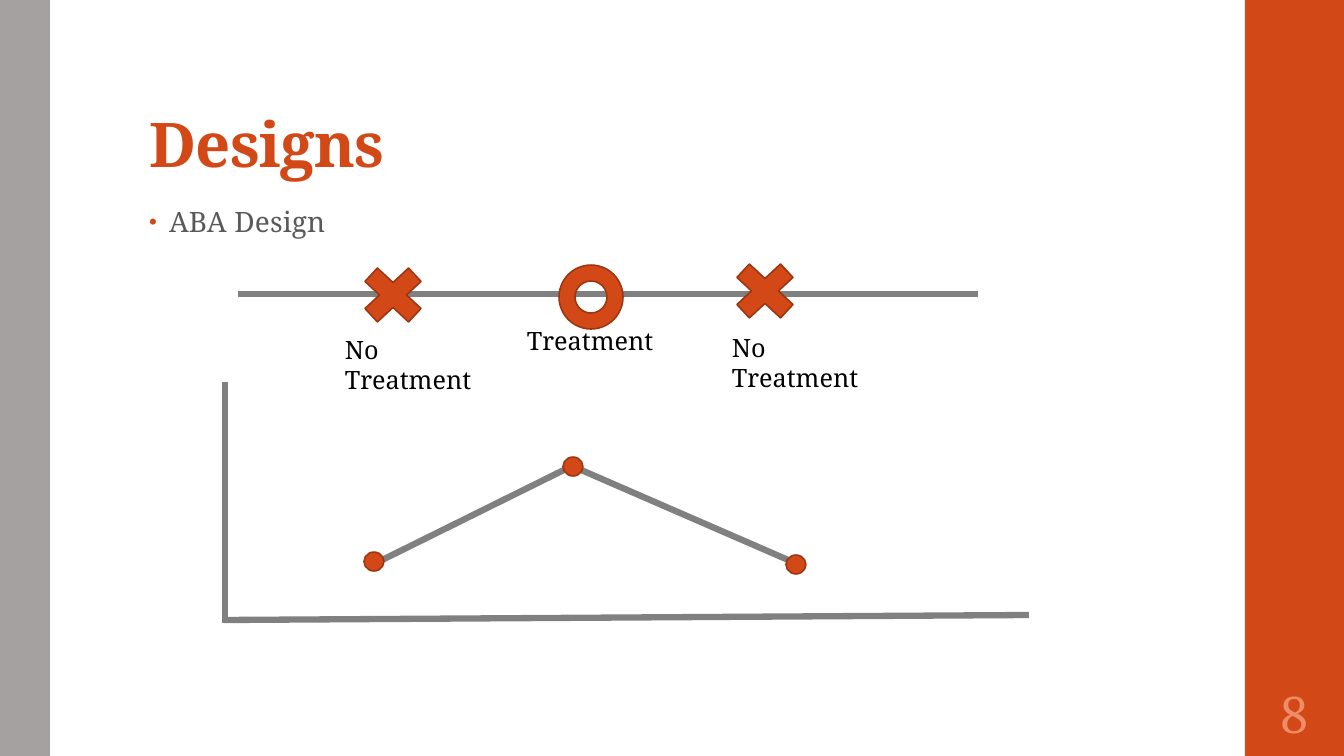
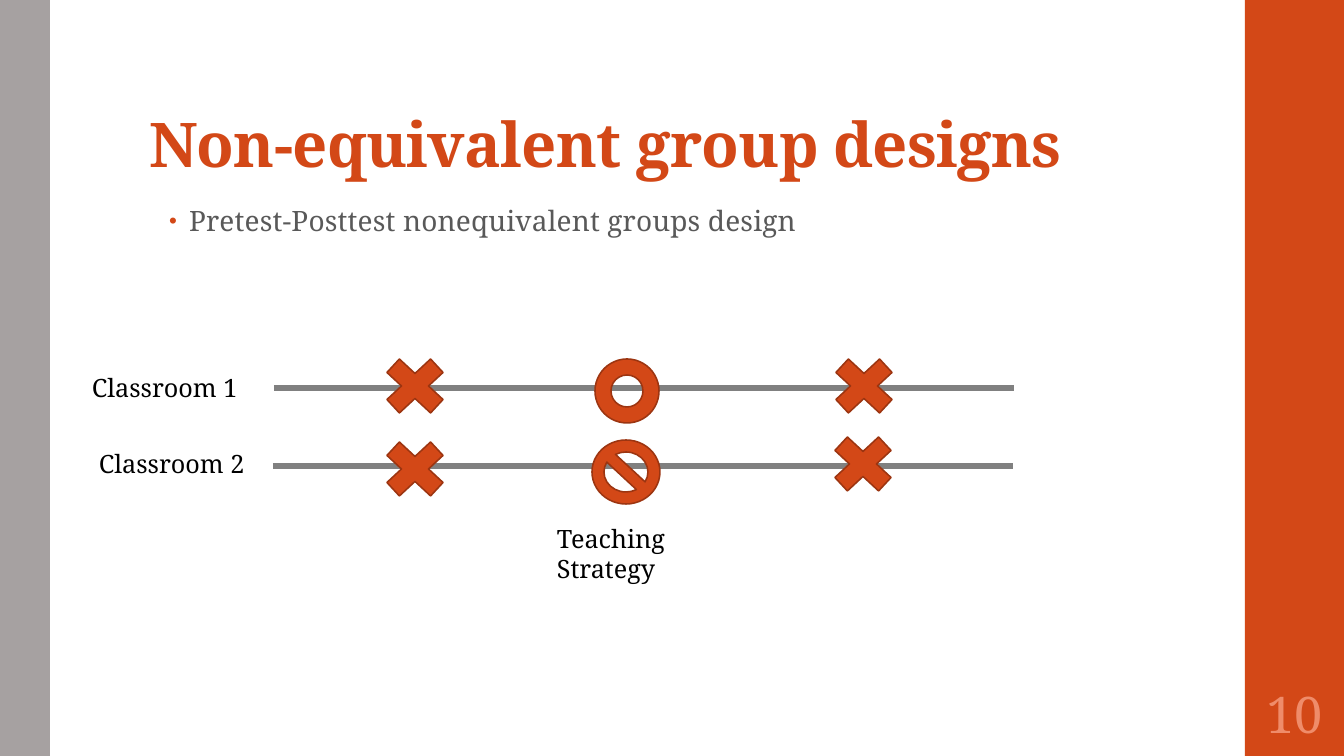
"""Build two slides on research designs with timelines and a trend sketch."""
from dataclasses import dataclass

from lxml.etree import SubElement
from pptx import Presentation
from pptx.dml.color import RGBColor
from pptx.enum.shapes import MSO_CONNECTOR, MSO_SHAPE
from pptx.enum.text import MSO_ANCHOR, MSO_AUTO_SIZE, PP_ALIGN
from pptx.oxml.ns import qn
from pptx.util import Pt

SCALE = 914400 / 100.8
SLIDE_SIZE = (1344, 756)
CROSS, RING, BARRED, DOT = "cross", "ring", "barred", "dot"
MARKS = {
    CROSS: (MSO_SHAPE.MATH_MULTIPLY, 84, 78),
    RING: (MSO_SHAPE.DONUT, 64, 64),
    BARRED: (MSO_SHAPE.NO_SYMBOL, 68, 64),
    DOT: (MSO_SHAPE.OVAL, 20, 19),
}
SLIDES = [
    {
        "title": "Designs",
        "bullet": "ABA Design",
        "body": (139, 202),
        "number": "8",
        "lines": [
            (238, 294, 978, 294),
            (370, 566, 572, 466),
            (572, 466, 802, 566),
            (225, 382, 225, 623),
            (1029, 615, 224, 620),
        ],
        "marks": [
            (RING, 559, 265), (CROSS, 723, 252), (CROSS, 351, 256),
            (DOT, 563, 457), (DOT, 364, 552), (DOT, 786, 555),
        ],
        "labels": [
            ("Treatment", 517, 320, 169, 40),
            ("No Treatment", 335, 329, 169, 72),
            ("No Treatment", 722, 327, 169, 72),
        ],
    },
    {
        "title": "Non-equivalent group designs",
        "bullet": "Pretest-Posttest nonequivalent groups design",
        "body": (159, 201),
        "number": "10",
        "lines": [(274, 388, 1014, 388), (273, 466, 1013, 466)],
        "marks": [
            (RING, 595, 359), (CROSS, 822, 347), (CROSS, 821, 425),
            (BARRED, 592, 440), (CROSS, 373, 347), (CROSS, 373, 430),
        ],
        "labels": [
            ("Classroom 1", 82, 367, 192, 40),
            ("Classroom 2", 89, 443, 192, 40),
            ("Teaching Strategy", 547, 518, 192, 72),
        ],
    },
]


@dataclass(frozen=True)
class Theme:
    font: str = "Noto Serif"
    accent: str = "D34817"
    outline: str = "9C3511"
    band: str = "A6A1A1"
    line: str = "808080"
    body: str = "595959"
    label: str = "000000"
    number: str = "EF8C6A"
    title_size: int = 44
    body_size: int = 20
    label_size: int = 18
    number_size: int = 36
    line_width: float = 4.5
    outline_width: float = 1.1


THEME = Theme()


def px(*lengths):
    return [round(length * SCALE) for length in lengths]


def rgb(value):
    return RGBColor.from_string(value)


def place(shape, *box):
    shape.left, shape.top, shape.width, shape.height = px(*box)


def set_insets(frame, left, top, right, bottom):
    frame.margin_left, frame.margin_top, frame.margin_right, frame.margin_bottom = px(
        left, top, right, bottom)


def add_run(paragraph, text, size, color, bold=False, spacing=0):
    run = paragraph.add_run()
    run.text = text
    run.font.name = THEME.font
    run.font.size = Pt(size)
    run.font.bold = bold
    run.font.color.rgb = rgb(color)
    if spacing:
        run.font._element.set("spc", str(spacing))


def add_bullet(paragraph):
    indent, = px(20)
    properties = paragraph._p.get_or_add_pPr()
    properties.set("marL", str(indent))
    properties.set("indent", str(-indent))
    color = SubElement(properties, qn("a:buClr"))
    SubElement(color, qn("a:srgbClr"), val=THEME.accent)
    SubElement(properties, qn("a:buSzPct"), val="80000")
    SubElement(properties, qn("a:buFont"), typeface="Arial")
    SubElement(properties, qn("a:buChar"), char="•")


def add_filled(slide, preset, box, fill, outline=None):
    shape = slide.shapes.add_shape(preset, *px(*box))
    shape.shadow.inherit = False
    shape.fill.solid()
    shape.fill.fore_color.rgb = rgb(fill)
    if outline:
        shape.line.color.rgb = rgb(outline)
        shape.line.width = Pt(THEME.outline_width)
    else:
        shape.line.fill.background()
    return shape


def add_line(slide, ends):
    line = slide.shapes.add_connector(MSO_CONNECTOR.STRAIGHT, *px(*ends))
    line.line.color.rgb = rgb(THEME.line)
    line.line.width = Pt(THEME.line_width)
    SubElement(line._element.spPr, qn("a:effectLst"))


def add_label(slide, text, *box):
    frame = slide.shapes.add_textbox(*px(*box)).text_frame
    frame.word_wrap = True
    frame.auto_size = MSO_AUTO_SIZE.SHAPE_TO_FIT_TEXT
    add_run(frame.paragraphs[0], text, THEME.label_size, THEME.label)


def add_number(slide, text):
    frame = slide.shapes.add_textbox(*px(1245, 680, 99, 66)).text_frame
    frame.word_wrap = True
    frame.vertical_anchor = MSO_ANCHOR.MIDDLE
    set_insets(frame, 5, 5, 5, 5)
    paragraph = frame.paragraphs[0]
    paragraph.alignment = PP_ALIGN.CENTER
    add_run(paragraph, text, THEME.number_size, THEME.number)


def fill_title(title, text):
    place(title, 139, 32, 1068, 154)
    frame = title.text_frame
    frame.auto_size = MSO_AUTO_SIZE.NONE
    frame.vertical_anchor = MSO_ANCHOR.BOTTOM
    set_insets(frame, 10, 3, 10, 5)
    paragraph = frame.paragraphs[0]
    paragraph.alignment = PP_ALIGN.LEFT
    paragraph.line_spacing = 0.9
    add_run(paragraph, text, THEME.title_size, THEME.accent, True, -50)


def fill_body(body, text, left, top):
    place(body, left, top, 948, 480)
    frame = body.text_frame
    frame.auto_size = MSO_AUTO_SIZE.NONE
    paragraph = frame.paragraphs[0]
    paragraph.line_spacing = 0.95
    paragraph.space_before = Pt(14)
    paragraph.space_after = Pt(2)
    add_bullet(paragraph)
    add_run(paragraph, text, THEME.body_size, THEME.body, spacing=10)


def add_bands(layout, slide):
    for left, width, color in ((1245, 99, THEME.accent), (0, 50, THEME.band)):
        band = add_filled(slide, MSO_SHAPE.RECTANGLE, (left, 0, width, 756), color)
        layout.element.cSld.spTree.insert(2, band.element)


def build_slide(slide, content):
    fill_title(slide.shapes.title, content["title"])
    fill_body(slide.placeholders[1], content["bullet"], *content["body"])
    add_number(slide, content["number"])
    for ends in content["lines"]:
        add_line(slide, ends)
    for mark, left, top in content["marks"]:
        preset, width, height = MARKS[mark]
        add_filled(slide, preset, (left, top, width, height), THEME.accent, THEME.outline)
    for label in content["labels"]:
        add_label(slide, *label)


def main():
    presentation = Presentation()
    presentation.slide_width, presentation.slide_height = px(*SLIDE_SIZE)
    layout = presentation.slide_layouts[1]
    slides = [presentation.slides.add_slide(layout) for _ in SLIDES]
    add_bands(layout, slides[0])
    for slide, content in zip(slides, SLIDES):
        build_slide(slide, content)
    presentation.save("out.pptx")


main()
